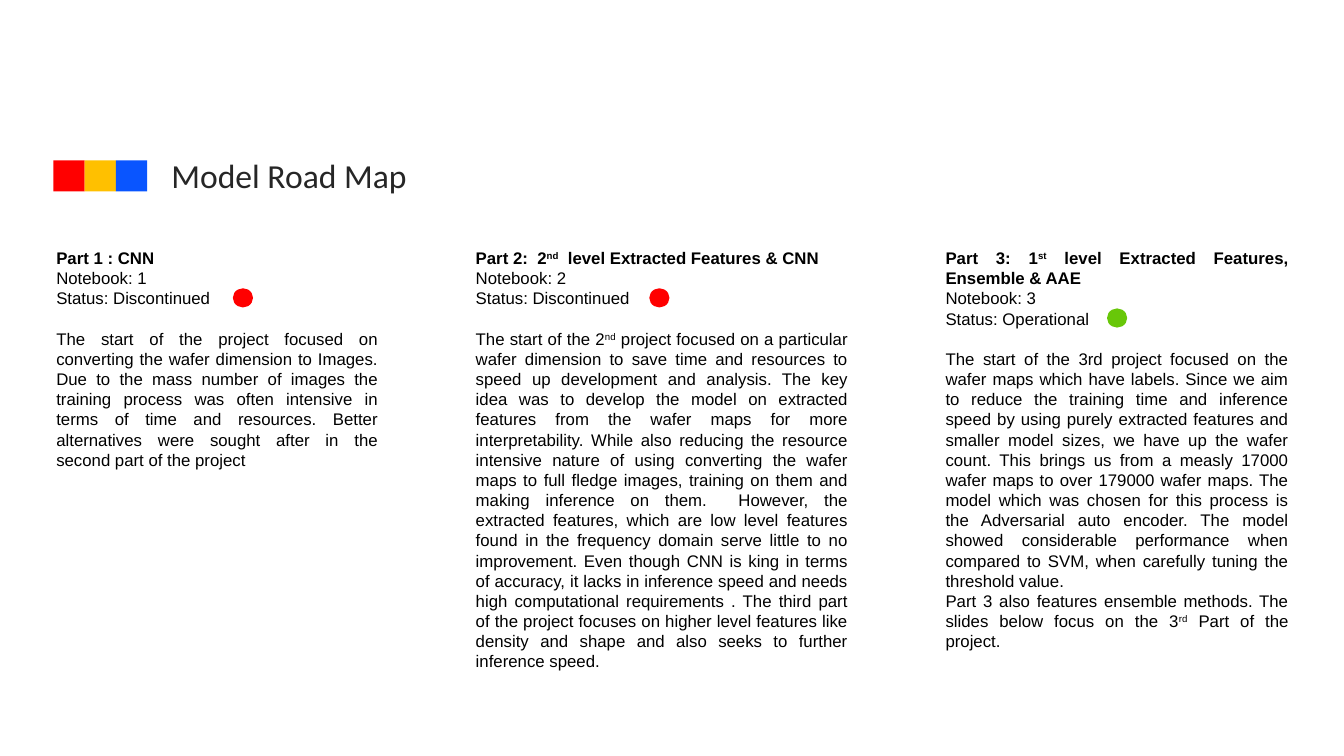
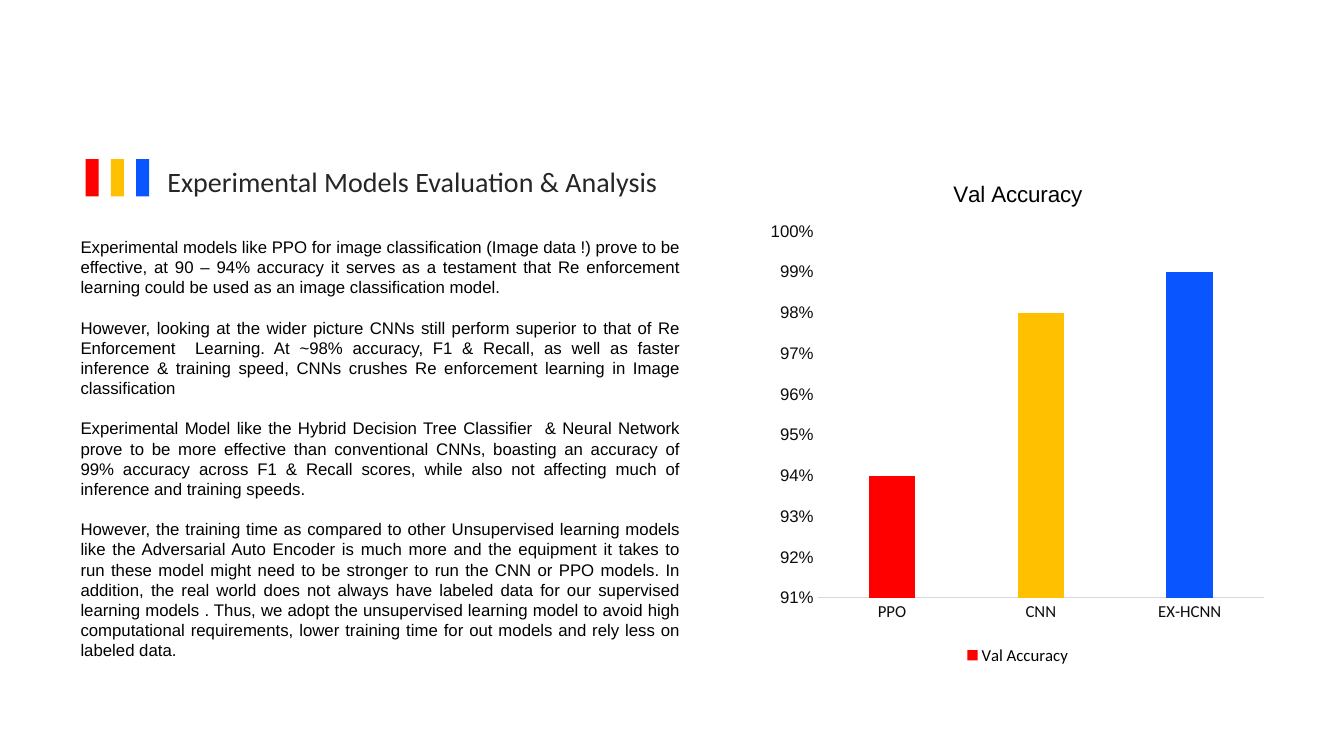
from pptx import Presentation
from pptx.chart.data import CategoryChartData
from pptx.dml.color import RGBColor
from pptx.enum.chart import XL_CHART_TYPE as ChartType, XL_LEGEND_POSITION as LegendPos, XL_TICK_MARK as Tick
from pptx.enum.shapes import MSO_SHAPE as Shape
from pptx.enum.text import MSO_ANCHOR as Anchor, MSO_AUTO_SIZE as AutoSize, PP_ALIGN as Align
from pptx.oxml import parse_xml
from pptx.oxml.ns import nsdecls, qn
from pptx.util import Emu, Pt

PX = 9144
TITLE_ONLY = 5
RED = RGBColor(0xFF, 0x00, 0x00)
AMBER = RGBColor(0xFF, 0xC0, 0x00)
BLUE = RGBColor(0x09, 0x55, 0xFF)
GREEN = RGBColor(0x68, 0xC7, 0x09)
BLACK = RGBColor(0x00, 0x00, 0x00)
INK = RGBColor(0x26, 0x26, 0x26)
AXIS_INK = RGBColor(0x0D, 0x0D, 0x0D)
AXIS_LINE = RGBColor(0xD9, 0xD9, 0xD9)
WHITE = RGBColor(0xFF, 0xFF, 0xFF)
ACCENTS = (RED, AMBER, BLUE)
BODY_FONT, HEAD_FONT = "Arial", "Calibri"
BODY_SIZE, LINE_PITCH = 12, Pt(14.4)

ROAD_MAP = [
    {
        "box": (46, 241, 339, 252), "dot": (231, 286), "colour": RED,
        "heading": "Part 1 : CNN",
        "facts": ["Notebook: 1", "Status: Discontinued"],
        "story": [
            "The start of the project focused on converting the wafer dimension to Images. "
            "Due to the mass number of images the training process was often intensive in terms "
            "of time and resources. Better alternatives were sought after in the second part of "
            "the project",
        ],
    },
    {
        "box": (462, 241, 389, 454), "dot": (644, 286), "colour": RED,
        "heading": "Part 2:  2^nd^  level Extracted Features & CNN",
        "facts": ["Notebook: 2", "Status: Discontinued"],
        "story": [
            "The start of the 2^nd^ project focused on a particular wafer dimension to save time "
            "and resources to speed up development and analysis. The key idea was to develop the "
            "model on extracted features from the wafer maps for more interpretability. While "
            "also reducing the resource intensive nature of using converting the wafer maps to "
            "full fledge images, training on them and making inference on them.  However, the "
            "extracted features, which are low level features found in the frequency domain serve "
            "little to no improvement. Even though CNN is king in terms of accuracy, it lacks in "
            "inference speed and needs high computational requirements . The third part of the "
            "project focuses on higher level features like density and shape and also seeks to "
            "further inference speed.",
        ],
    },
    {
        "box": (928, 241, 360, 495), "dot": (1098, 306), "colour": GREEN,
        "heading": "Part 3: 1^st^ level Extracted Features, Ensemble & AAE",
        "facts": ["Notebook: 3", "Status: Operational"],
        "story": [
            "The start of the 3rd project focused on the wafer maps which have labels. Since we "
            "aim to reduce the training time and inference speed by using purely extracted "
            "features and smaller model sizes, we have up the wafer count. This brings us from a "
            "measly 17000 wafer maps to over 179000 wafer maps. The model which was chosen for "
            "this process is the Adversarial auto encoder. The model showed considerable "
            "performance when compared to SVM, when carefully tuning the threshold value.",
            "Part 3 also features ensemble methods. The slides below focus on the 3^rd^ Part of "
            "the project.",
        ],
    },
]

FINDINGS = [
    "Experimental models like PPO for image classification (Image data !) prove to be effective, "
    "at 90 – 94% accuracy it serves as a testament that Re enforcement learning could be used as "
    "an image classification model.",
    "However, looking at the wider picture CNNs still perform superior to that of Re Enforcement  "
    "Learning. At ~98% accuracy, F1 & Recall, as well as faster inference & training speed, CNNs "
    "crushes Re enforcement learning in Image classification",
    "Experimental Model like the Hybrid Decision Tree Classifier  & Neural Network prove to be "
    "more effective than conventional CNNs, boasting an accuracy of 99% accuracy across F1 & "
    "Recall scores, while also not affecting much of inference and training speeds.",
    "However, the training time as compared to other Unsupervised learning models like the "
    "Adversarial Auto Encoder is much more and the equipment it takes to run these model might "
    "need to be stronger to run the CNN or PPO models. In addition, the real world does not always "
    "have labeled data for our supervised learning models . Thus, we adopt the unsupervised "
    "learning model to avoid high computational requirements, lower training time for out models "
    "and rely less on labeled data.",
]

ACCURACY = {"PPO": 0.94, "CNN": 0.98, "EX-HCNN": 0.99}


class Deck:
    """Hold the shared style and draw elements on the current slide."""

    def __init__(self):
        self.prs = Presentation()
        self.prs.slide_width, self.prs.slide_height = self.px(1333, 750)
        self.slide = None

    def px(self, *lengths):
        return [Emu(length * PX) for length in lengths]

    def style(self, font, size, colour, face=BODY_FONT, bold=False):
        font.size, font.name, font.bold = Pt(size), face, bold
        font.color.rgb = colour

    def titled_slide(self, text, box, size):
        self.slide = self.prs.slides.add_slide(self.prs.slide_layouts[TITLE_ONLY])
        title = self.slide.shapes.title
        title.left, title.top, title.width, title.height = self.px(*box)
        frame = title.text_frame
        frame.auto_size, frame.vertical_anchor = AutoSize.NONE, Anchor.TOP
        heading = frame.paragraphs[0]
        heading.alignment = Align.LEFT
        run = heading.add_run()
        run.text = text
        self.style(run.font, size, INK, HEAD_FONT)

    def solid(self, kind, box, colour):
        shape = self.slide.shapes.add_shape(kind, *self.px(*box))
        shape.shadow.inherit = False
        shape.fill.solid()
        shape.fill.fore_color.rgb = colour
        shape.line.fill.background()

    def accents(self, left, top, width, height, pitch):
        for i, colour in enumerate(ACCENTS):
            self.solid(Shape.RECTANGLE, (left + i * pitch, top, width, height), colour)

    def status_dot(self, left, top, colour):
        self.solid(Shape.FLOWCHART_CONNECTOR, (left, top, 20, 19), colour)

    def body(self, box, paragraphs, bold=(), spaced=()):
        frame = self.slide.shapes.add_textbox(*self.px(*box)).text_frame
        frame.word_wrap = True
        for i, text in enumerate(paragraphs):
            para = frame.add_paragraph() if i else frame.paragraphs[0]
            para.alignment, para.line_spacing = Align.JUSTIFY, LINE_PITCH
            if i in spaced:
                para.space_before = LINE_PITCH
            for j, part in enumerate(text.split("^")):
                run = para.add_run()
                run.text = part
                self.style(run.font, BODY_SIZE, BLACK, bold=i in bold)
                if j % 2:
                    run._r.get_or_add_rPr().set("baseline", "30000")

    def column_chart(self, box, name, values, plot_box):
        data = CategoryChartData(number_format="0%")
        data.categories = list(values)
        data.add_series(name, list(values.values()))
        chart = self.slide.shapes.add_chart(ChartType.COLUMN_CLUSTERED, *self.px(*box), data).chart
        self.style(chart.font, 10, BLACK, HEAD_FONT)
        chart.has_title = True
        run = chart.chart_title.text_frame.paragraphs[0].add_run()
        run.text = name
        self.style(run.font, 16, BLACK)
        chart.chart_title.include_in_layout = False
        chart.has_legend = True
        chart.legend.position, chart.legend.include_in_layout = LegendPos.BOTTOM, False
        self.style(chart.legend.font, 12, BLACK, HEAD_FONT)
        self.chart_axes(chart)
        self.chart_columns(chart.plots[0])
        self.place_plot(chart, plot_box)

    def chart_axes(self, chart):
        categories, scale = chart.category_axis, chart.value_axis
        for axis, face in ((categories, HEAD_FONT), (scale, BODY_FONT)):
            axis.major_tick_mark = axis.minor_tick_mark = Tick.NONE
            self.style(axis.tick_labels.font, 12, AXIS_INK, face)
        scale.minimum_scale, scale.maximum_scale, scale.major_unit = 0.91, 1, 0.01
        scale.tick_labels.number_format = "0%"
        scale.tick_labels.number_format_is_linked = False
        scale.format.line.fill.background()
        for line, colour in ((categories.format.line, AXIS_LINE), (scale.major_gridlines.format.line, WHITE)):
            line.color.rgb, line.width = colour, Pt(0.75)

    def chart_columns(self, plot):
        plot.vary_by_categories, plot.gap_width, plot.overlap = False, 219, -27
        series = plot.series[0]
        fills = [series.format.fill] + [series.points[i].format.fill for i in (1, 2)]
        for fill, colour in zip(fills, ACCENTS):
            fill.solid()
            fill.fore_color.rgb = colour

    def place_plot(self, chart, plot_box):
        area = chart._chartSpace.chart.plotArea
        for old in area.findall(qn("c:layout")):
            area.remove(old)
        modes = '<c:xMode val="edge"/><c:yMode val="edge"/>'
        sizes = "".join(f'<c:{side} val="{share}"/>' for side, share in zip("xywh", plot_box))
        area.insert(0, parse_xml(
            f'<c:layout {nsdecls("c")}><c:manualLayout><c:layoutTarget val="inner"/>'
            f"{modes}{sizes}</c:manualLayout></c:layout>"))


def main():
    deck = Deck()
    deck.titled_slide("Model Road Map", (160, 149, 433, 50), 24)
    deck.accents(53, 159, 31, 31, 31)
    for part in ROAD_MAP:
        deck.body(part["box"], [part["heading"], *part["facts"], *part["story"]], bold=(0,), spaced=(3,))
        deck.status_dot(*part["dot"], part["colour"])

    deck.titled_slide("Experimental Models Evaluation & Analysis", (156, 158, 634, 44), 20)
    deck.accents(85, 158, 13, 37, 25)
    deck.body((70, 230, 615, 434), FINDINGS, spaced=(1, 2, 3))
    deck.column_chart((755, 159, 509, 505), "Val Accuracy", ACCURACY, (0.11, 0.14, 0.87, 0.72))
    deck.prs.save("out.pptx")


if __name__ == "__main__":
    main()
